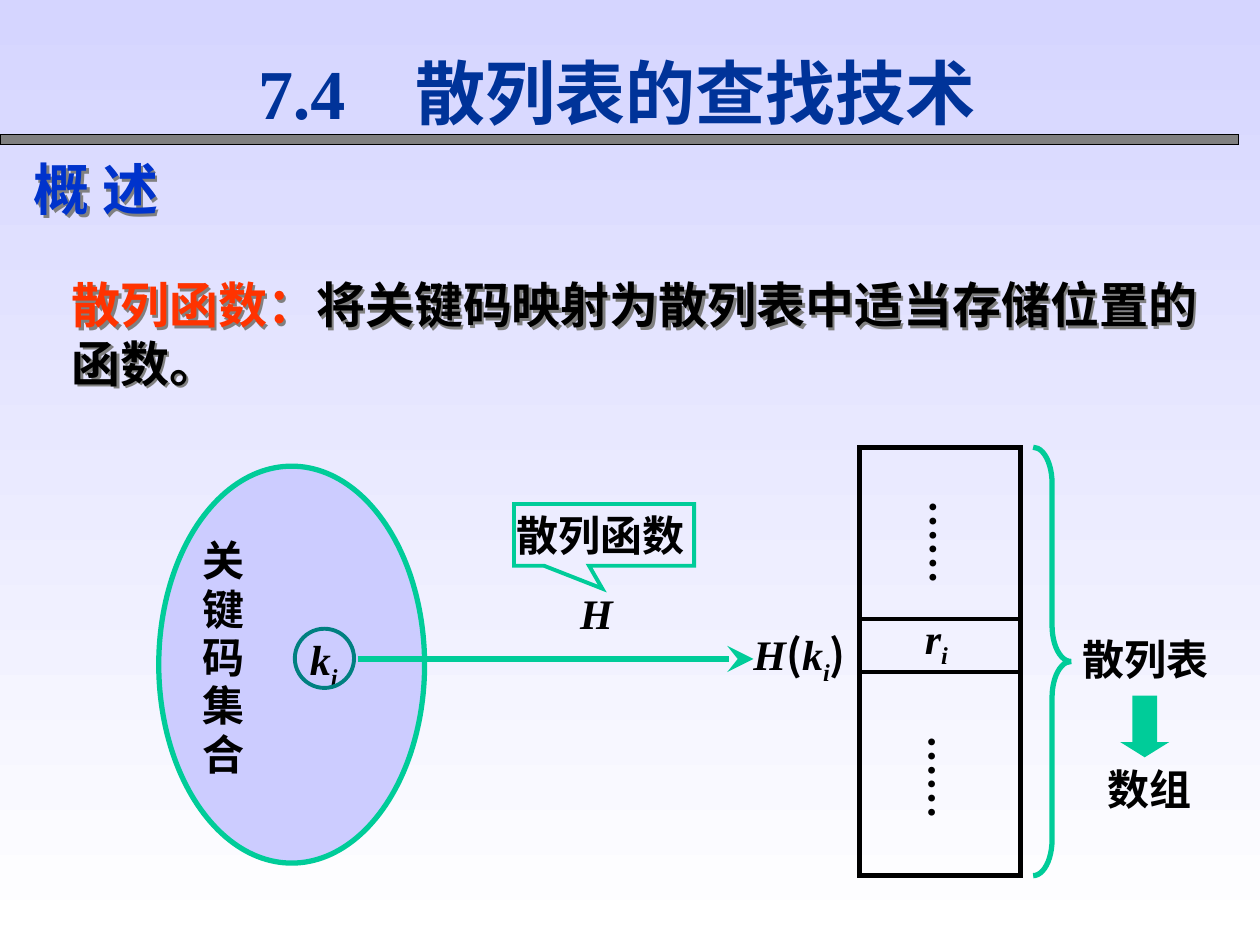
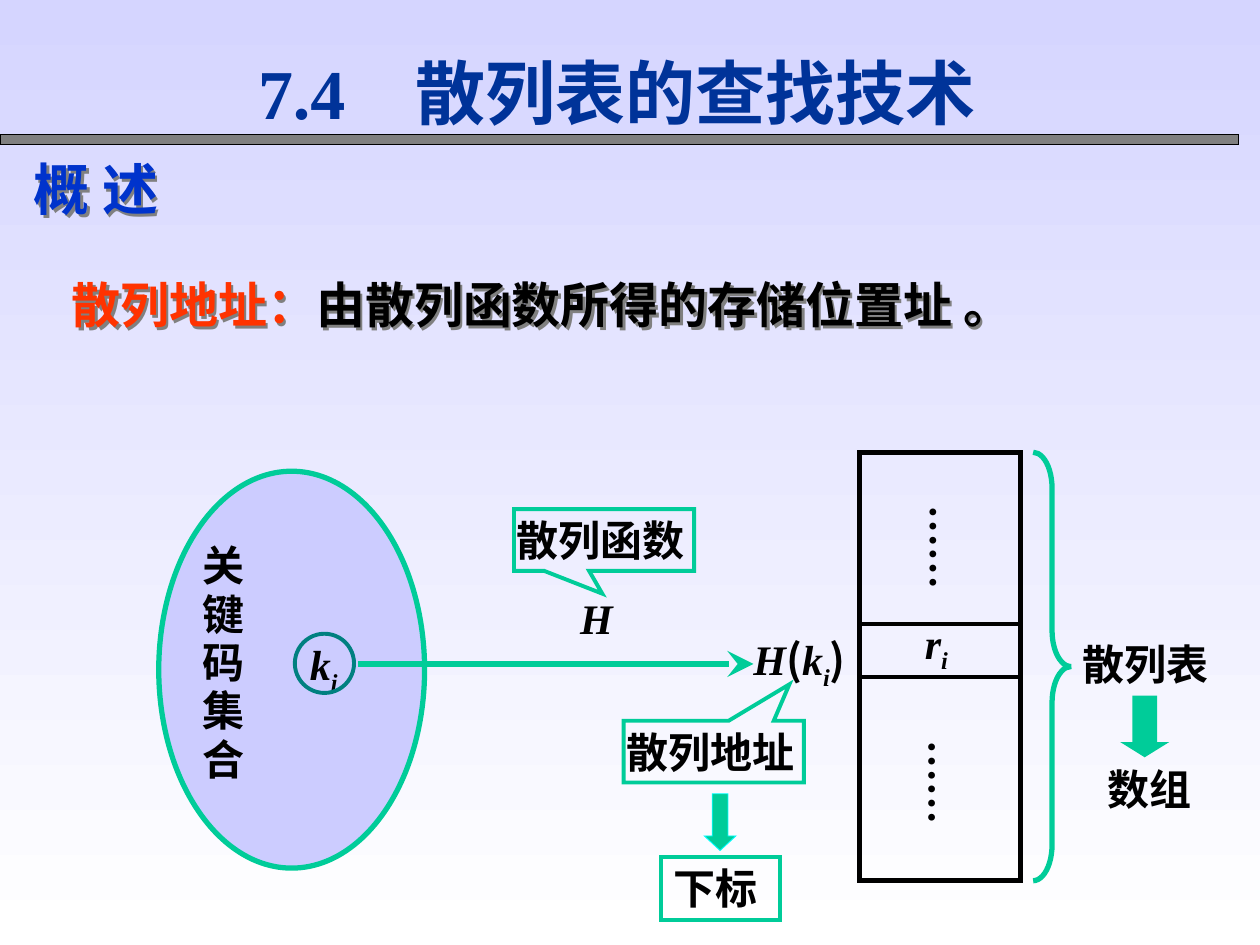
from dataclasses import dataclass
from typing import NamedTuple

import pptx
import pptx.dml.color
import pptx.enum.shapes
import pptx.enum.text
import pptx.oxml.ns
import pptx.presentation
import pptx.slide
import pptx.text.text
import pptx.util
from lxml import etree

Inches = pptx.util.Inches
Pt = pptx.util.Pt
qn = pptx.oxml.ns.qn
Preset = pptx.enum.shapes.MSO_SHAPE
Align = pptx.enum.text.PP_ALIGN
Anchor = pptx.enum.text.MSO_ANCHOR

COLORS = {
    "sky": "D5D5FF", "white": "FFFFFF", "gray": "808080", "black": "000000",
    "title": "003399", "section": "0033CC", "term": "FF3300",
    "green": "00CC99", "lilac": "CCCCFF", "teal": "008080", "cyan": "00FFFF",
}
SERIF, SANS, CJK = "Times New Roman", "Arial", "Noto Sans CJK SC"
WIDE = (0.1, 0.05, 0.1, 0.05)
TIGHT = (0.02, 0, 0.02, 0)
SNUG = (0.02, 0.01, 0.02, 0.01)
VERTICAL = (0, 0.02, 0.04, 0.02)


class Box(NamedTuple):
    left: float
    top: float
    width: float
    height: float

    def lowered(self, shift: float) -> "Box":
        return self._replace(top=self.top + shift)


@dataclass(frozen=True)
class Run:
    text: str
    font: str = SERIF
    size: float = 24
    color: str = "black"
    italic: bool = False
    subscript: bool = False


@dataclass(frozen=True)
class Label:
    box: Box
    runs: tuple[Run, ...]
    insets: tuple[float, ...] = WIDE
    spacing: float = 1.0
    align: Align = Align.LEFT
    anchor: Anchor = Anchor.TOP
    vertical: bool = False
    shadow: bool = False
    tab: float = 0


@dataclass(frozen=True)
class Figure:
    preset: Preset
    box: Box
    fill: str | None = None
    line: str | None = None
    weight: float = 0
    adjustments: tuple[float, ...] = ()
    runs: tuple[Run, ...] = ()
    insets: tuple[float, ...] = SNUG
    anchor: Anchor = Anchor.MIDDLE


@dataclass(frozen=True)
class Stroke:
    start: tuple[float, float]
    end: tuple[float, float]
    color: str
    weight: float
    arrow: bool = False


def rgb(name: str) -> pptx.dml.color.RGBColor:
    return pptx.dml.color.RGBColor.from_string(COLORS[name])


def add_run(paragraph: pptx.text.text._Paragraph, piece: Run) -> None:
    run = paragraph.add_run()
    run.text = piece.text
    font = run.font
    font.size, font.bold, font.italic = Pt(piece.size), True, piece.italic
    font.color.rgb = rgb(piece.color)
    font.name = piece.font
    properties = run._r.get_or_add_rPr()
    east_asian = etree.Element(qn("a:ea"), typeface=CJK)
    properties.find(qn("a:latin")).addnext(east_asian)
    if piece.subscript:
        properties.set("baseline", "-25000")


def write(frame: pptx.text.text.TextFrame, label: Label | Figure) -> None:
    """Set the frame's layout and add the runs as one paragraph."""
    frame.word_wrap = True
    frame.vertical_anchor = label.anchor
    (frame.margin_left, frame.margin_top,
     frame.margin_right, frame.margin_bottom) = map(Inches, label.insets)
    paragraph = frame.paragraphs[0]
    paragraph.alignment = Align.LEFT
    for run in label.runs:
        add_run(paragraph, run)


def draw_label(slide: pptx.slide.Slide, label: Label, shift: float = 0) -> None:
    text_box = slide.shapes.add_textbox(*map(Inches, label.box.lowered(shift)))
    frame = text_box.text_frame
    write(frame, label)
    paragraph = frame.paragraphs[0]
    paragraph.alignment = label.align
    paragraph.line_spacing = label.spacing
    if label.tab:
        tabs = etree.SubElement(paragraph._p.get_or_add_pPr(), qn("a:tabLst"))
        etree.SubElement(tabs, qn("a:tab"), pos=str(Inches(label.tab)), algn="l")
    if label.vertical:
        frame._txBody.find(qn("a:bodyPr")).set("vert", "eaVert")
    if label.shadow:
        effects = etree.SubElement(text_box._element.spPr, qn("a:effectLst"))
        shade = etree.SubElement(effects, qn("a:outerShdw"), dist=str(Pt(2)),
                                 dir="2700000", algn="ctr", rotWithShape="0")
        etree.SubElement(shade, qn("a:srgbClr"), val=COLORS["gray"])


def draw_figure(slide: pptx.slide.Slide, figure: Figure, shift: float = 0) -> None:
    shape = slide.shapes.add_shape(figure.preset, *map(Inches, figure.box.lowered(shift)))
    shape.shadow.inherit = False
    for index, value in enumerate(figure.adjustments):
        shape.adjustments[index] = value
    if figure.fill:
        shape.fill.solid()
        shape.fill.fore_color.rgb = rgb(figure.fill)
    else:
        shape.fill.background()
    if figure.line:
        shape.line.color.rgb = rgb(figure.line)
        shape.line.width = Pt(figure.weight)
        outline = shape._element.spPr.find(qn("a:ln"))
        etree.SubElement(outline, qn("a:miter"), lim="800000")
    else:
        shape.line.fill.background()
    if figure.runs:
        write(shape.text_frame, figure)


def draw_stroke(slide: pptx.slide.Slide, stroke: Stroke, shift: float = 0) -> None:
    (x1, y1), (x2, y2) = stroke.start, stroke.end
    connector = slide.shapes.add_connector(
        pptx.enum.shapes.MSO_CONNECTOR.STRAIGHT,
        *map(Inches, (x1, y1 + shift, x2, y2 + shift)))
    connector.line.color.rgb = rgb(stroke.color)
    connector.line.width = Pt(stroke.weight)
    properties = connector._element.spPr
    if stroke.arrow:
        etree.SubElement(properties.find(qn("a:ln")), qn("a:tailEnd"),
                         type="stealth", w="lg", len="lg")
    etree.SubElement(properties, qn("a:effectLst"))


def draw(slide: pptx.slide.Slide, parts: tuple, shift: float = 0) -> None:
    drawers = {Label: draw_label, Figure: draw_figure, Stroke: draw_stroke}
    for part in parts:
        drawers[type(part)](slide, part, shift)


def symbol(letter: str) -> tuple[Run, Run]:
    """An italic letter with the subscript i."""
    return Run(letter, italic=True), Run("i", italic=True, subscript=True)


def callout(left: float, top: float, text: str, tip: tuple[float, float]) -> Figure:
    return Figure(Preset.RECTANGULAR_CALLOUT, Box(left, top, 1.43, 0.49), None,
                  "green", 2.25, tip, (Run(text, SANS),))


def dots(left: float, top: float) -> Label:
    return Label(Box(left, top, 0.37, 0.9), (Run("……"),), VERTICAL, 0.96, vertical=True)


def definition(term: str, *meaning: tuple[str, str]) -> Label:
    runs = [Run(term, SERIF, 28, "term")]
    runs += [Run(text, font, 28) for text, font in meaning]
    return Label(Box(0.47, 2.13, 9.17, 1.04), tuple(runs), shadow=True)


HEADING = (
    Figure(Preset.RECTANGLE, Box(0, 1.07, 9.83, 0.08), "gray", "black", 0.75),
    Label(Box(0.17, 1.18, 7, 0.64), (Run("概 述", CJK, 32, "section"),), shadow=True),
    Label(Box(1.95, 0.35, 6.4, 0.75),
          (Run("7.4\t散列表的查找技术", SERIF, 40, "title"),), anchor=Anchor.MIDDLE, tab=1.25),
)

TABLE = Box(6.82, 3.55, 1.28, 3.4)
TABLE_RIGHT = TABLE.left + TABLE.width
ROW_EDGES = (4.91, 5.33)

HASHING = (
    Figure(Preset.RIGHT_BRACE, Box(8.2, TABLE.top, 0.3, TABLE.height), None,
           "green", 3, (0.95, 0.5)),
    Label(Box(8.49, 4.98, 1.21, 0.5), (Run("散列表", SANS),)),
    Figure(Preset.OVAL, Box(1.26, 3.7, 2.11, 3.15), "lilac", "green", 3),
    Label(Box(1.59, 4.27, 0.34, 1.92), (Run("关键码集合"),), TIGHT, 0.96),
    Label(Box(2.44, 5.03, 0.4, 0.36), symbol("k"), TIGHT, 0.96),
    Figure(Preset.RECTANGLE, TABLE, None, "black", 3),
    *(Stroke((TABLE.left, y), (TABLE_RIGHT, y), "black", 2.25) for y in ROW_EDGES),
    Label(Box(7.32, 4.86, 0.4, 0.37), symbol("r"), TIGHT, 0.96),
    Label(Box(5.96, 4.99, 0.81, 0.28),
          (Run("H", italic=True), Run("(", CJK), *symbol("k"), Run(")", CJK)), TIGHT, 0.96),
    dots(7.36, 3.95),
    dots(7.35, 5.82),
    Label(Box(3.67, 4.69, 2.13, 0.37), (Run("H", italic=True),), TIGHT, 0.96, Align.CENTER),
    Stroke((2.84, 5.23), (5.98, 5.23), "green", 3, arrow=True),
    Figure(Preset.OVAL, Box(2.34, 4.99, 0.47, 0.47), None, "teal", 2.25),
    callout(4.08, 4, "散列函数", (-0.01, 0.87)),
)

ARRAY = (
    Figure(Preset.DOWN_ARROW, Box(8.89, 5.52, 0.39, 0.49), "green", adjustments=(0.5, 0.31)),
    Label(Box(8.69, 6.01, 0.89, 0.5), (Run("数组", SANS),)),
)

ADDRESS = (
    callout(4.95, 5.72, "散列地址", (0.42, -1.09)),
    Figure(Preset.DOWN_ARROW, Box(5.59, 6.3, 0.25, 0.45), "green", "cyan", 0.5, (0.5, 0.46)),
    Figure(Preset.RECTANGLE, Box(5.25, 6.8, 0.94, 0.5), None, "green", 2.25,
           runs=(Run("下标", SANS),), insets=WIDE, anchor=Anchor.TOP),
)

HASH_FUNCTION = definition("散列函数：", ("将关键码映射为散列表中适当存", SERIF),
                           ("储位置的函数。", CJK))
HASH_ADDRESS = definition("散列地址：", ("由散列函数", SERIF),
                          ("所得的存储位置址", CJK), (" 。", SERIF))


def add_lesson(deck: pptx.presentation.Presentation, meaning: Label,
               shift: float = 0, extras: tuple = ()) -> None:
    """Add a slide with the hashing diagram lowered by shift."""
    slide = deck.slides.add_slide(deck.slide_layouts[6])
    backdrop = slide.background.fill
    backdrop.gradient()
    backdrop.gradient_angle = 270
    for stop, position, color in zip(backdrop.gradient_stops, (0, 1), ("sky", "white")):
        stop.position = position
        stop.color.rgb = rgb(color)
    draw(slide, HEADING + (meaning,))
    draw(slide, HASHING, shift)
    draw(slide, extras + ARRAY)


def main() -> None:
    deck = pptx.Presentation()
    deck.slide_width, deck.slide_height = Inches(10), Inches(7.5)
    add_lesson(deck, HASH_FUNCTION)
    add_lesson(deck, HASH_ADDRESS, 0.04, ADDRESS)
    deck.save("out.pptx")


if __name__ == "__main__":
    main()
